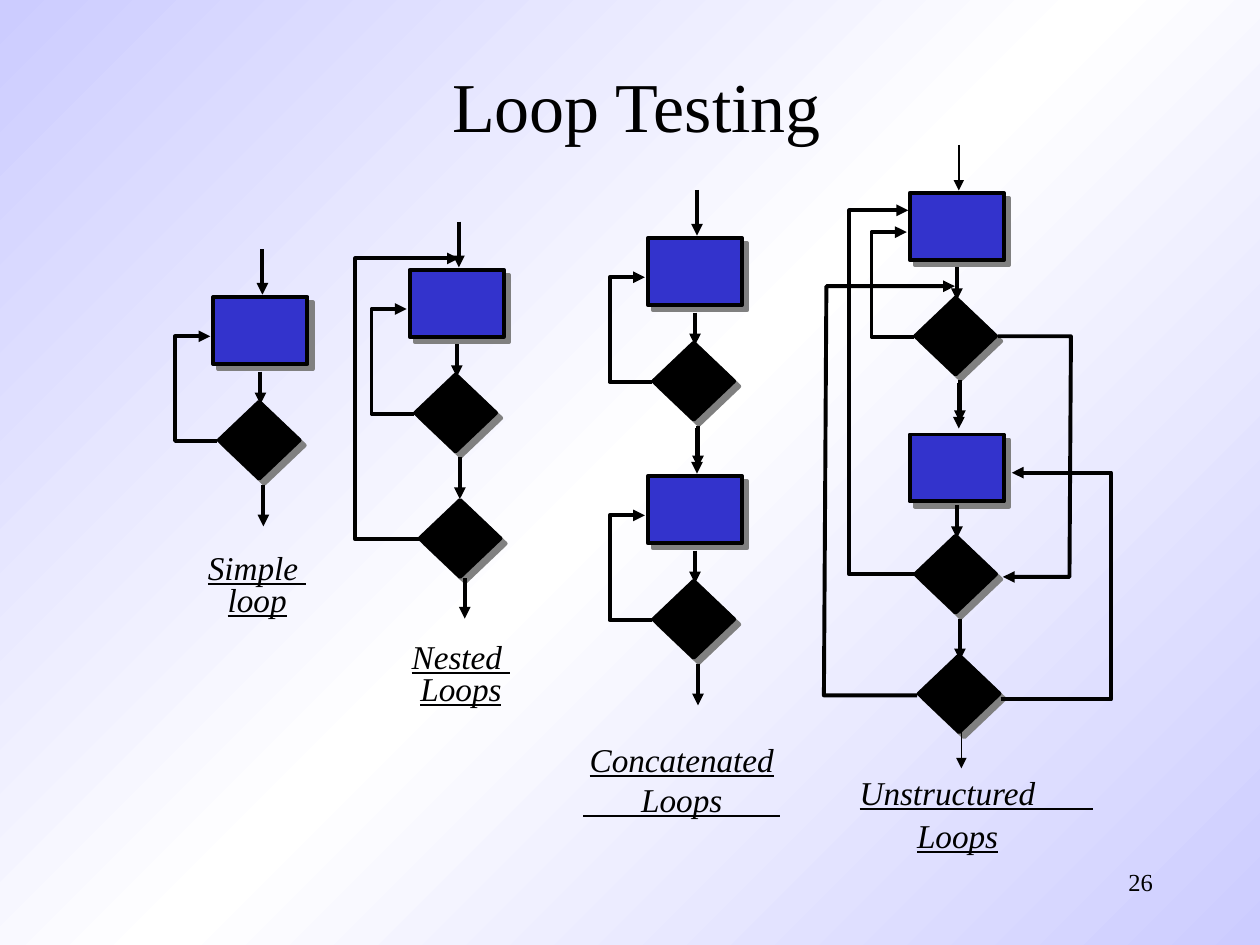
from copy import deepcopy
from dataclasses import dataclass

from lxml import etree
from pptx import Presentation
from pptx import util as u
from pptx.dml.color import RGBColor
from pptx.enum import shapes, text
from pptx.oxml import ns


@dataclass(frozen=True)
class Theme:
    font: str = "Times New Roman"
    ink: RGBColor = RGBColor(0, 0, 0)
    process: RGBColor = RGBColor(0x33, 0x33, 0xCC)
    tint: RGBColor = RGBColor(0xCC, 0xCC, 0xFF)
    paper: RGBColor = RGBColor(0xFF, 0xFF, 0xFF)
    shadow: str = "808080"
    title: int = 40
    caption: int = 19
    number: int = 14
    stroke: float = 2.25
    thin: float = 1


T = Theme()


def set_background(s):
    fill = s.background.fill
    fill.gradient()
    fill.gradient_angle = 315
    gs_list = next(s.element.iter(ns.qn("a:gsLst")))
    gs_list.insert(1, deepcopy(gs_list[0]))
    stops = zip(fill.gradient_stops, (0, 0.5, 1), (T.tint, T.paper, T.tint))
    for stop, position, color in stops:
        stop.position = position
        stop.color.rgb = color


def add_text(s, lines, x, y, w, h, size, align=text.PP_ALIGN.CENTER):
    sp = s.shapes.add_textbox(u.Cm(x), u.Cm(y), u.Cm(w), u.Cm(h))
    tf = sp.text_frame
    tf.word_wrap = True
    tf.text = "\n".join(lines)
    for p in tf.paragraphs:
        p.alignment = align
        p.font.name = T.font
        p.font.size = u.Pt(size)
        p.font.color.rgb = T.ink
    return tf


def add_caption(s, lines, x, y, w, h, spacing=1.0):
    tf = add_text(s, lines, x, y, w, h, T.caption)
    tf.word_wrap = False
    tf.auto_size = text.MSO_AUTO_SIZE.SHAPE_TO_FIT_TEXT
    for p in tf.paragraphs:
        p.line_spacing = spacing
        p.font.italic = True
        p.font.underline = True


def set_stroke(sp, width=T.stroke):
    sp.line.color.rgb = T.ink
    sp.line.width = u.Pt(width)


def add_arrowhead(sp):
    etree.SubElement(sp.line._get_or_add_ln(), ns.qn("a:tailEnd"), type="triangle")


def add_node(s, kind, x, y, w, h, color):
    sp = s.shapes.add_shape(kind, u.Cm(x), u.Cm(y), u.Cm(w), u.Cm(h))
    sp.fill.solid()
    sp.fill.fore_color.rgb = color
    set_stroke(sp)
    sp.shadow.inherit = False
    effects = sp.element.spPr.find(ns.qn("a:effectLst"))
    shadow = etree.SubElement(effects, ns.qn("a:outerShdw"), dist=str(u.Pt(4.2)),
                              dir="2700000", algn="ctr", rotWithShape="0")
    etree.SubElement(shadow, ns.qn("a:srgbClr"), val=T.shadow)


def add_process(s, x, y):
    add_node(s, shapes.MSO_SHAPE.RECTANGLE, x, y, 1.9, 1.35, T.process)


def add_decision(s, x, y):
    add_node(s, shapes.MSO_SHAPE.DIAMOND, x, y, 1.63, 1.55, T.ink)


def add_down_arrow(s, x, top, bottom, width=T.stroke):
    sp = s.shapes.add_connector(shapes.MSO_CONNECTOR.STRAIGHT,
                                u.Cm(x), u.Cm(top), u.Cm(x), u.Cm(bottom))
    set_stroke(sp, width)
    add_arrowhead(sp)
    etree.SubElement(sp.element.spPr, ns.qn("a:effectLst"))


def add_path(s, *points):
    start, *rest = [(u.Cm(x), u.Cm(y)) for x, y in points]
    builder = s.shapes.build_freeform(*start)
    builder.add_line_segments(rest, close=False)
    sp = builder.convert_to_shape()
    sp.fill.background()
    set_stroke(sp)
    add_arrowhead(sp)
    sp.shadow.inherit = False


def add_return(s, start_x, side_x, end_x, bottom, top):
    add_path(s, (start_x, bottom), (side_x, bottom), (side_x, top), (end_x, top))


def add_loop(s, x, y, entry_width=T.stroke, process_shift=0, own_return=True):
    add_process(s, x, y + process_shift)
    add_decision(s, x + 0.11, y + 2.11)
    add_down_arrow(s, x + 0.99, y - 0.97, y - 0.05, entry_width)
    add_down_arrow(s, x + 0.95, y + 1.5, y + 2.16)
    add_down_arrow(s, x + 1.01, y + 3.78, y + 4.62)
    if own_return:
        add_return(s, x + 0.08, x - 0.77, x - 0.06, y + 2.9, y + 0.79)


def draw_simple(s):
    add_loop(s, 4.3, 5.99)
    add_caption(s, ["Simple ", "loop"], 3.69, 11.06, 2.99, 1.52, 0.8)


def draw_nested(s):
    add_loop(s, 8.26, 5.44)
    add_decision(s, 8.46, 10.08)
    add_down_arrow(s, 9.37, 11.66, 12.47)
    add_return(s, 8.46, 7.16, 9.25, 10.87, 5.21)
    add_caption(s, ["Nested ", "Loops"], 7.8, 12.85, 2.99, 1.52, 0.8)


def draw_concatenated(s):
    for y in (4.8, 9.6):
        add_loop(s, 13.06, y)
    add_caption(s, ["Concatenated", "       Loops       "], 11.01, 14.78, 5.47, 1.85)


def draw_unstructured(s):
    add_loop(s, 18.34, 3.89, entry_width=T.thin)
    add_loop(s, 18.34, 8.69, process_shift=0.07, own_return=False)
    add_return(s, 18.57, 17.12, 18.31, 11.58, 4.24)
    add_path(s, (20.12, 6.78), (21.59, 6.78), (21.56, 11.63), (20.22, 11.63))
    add_decision(s, 18.52, 13.21)
    add_return(s, 20.17, 22.4, 20.4, 14.1, 9.53)
    add_path(s, (18.49, 14.02), (16.61, 14.02), (16.66, 5.77), (19.25, 5.77))
    add_down_arrow(s, 19.38, 14.66, 15.49, T.thin)
    add_caption(s, ["Unstructured       "], 16.57, 15.44, 6.23, 1.04)
    add_caption(s, ["Loops"], 17.74, 16.31, 3.13, 1.04)


def main():
    prs = Presentation()
    prs.slide_width, prs.slide_height = u.Cm(25.4), u.Cm(19.05)
    s = prs.slides.add_slide(prs.slide_layouts[6])
    set_background(s)
    add_text(s, ["26"], 18.21, 17.35, 5.28, 1.27, T.number, text.PP_ALIGN.RIGHT)
    tf = add_text(s, ["Loop Testing"], 4.78, 1.3, 16.1, 1.6, T.title)
    tf.vertical_anchor = text.MSO_ANCHOR.MIDDLE
    draw_simple(s)
    draw_nested(s)
    draw_concatenated(s)
    draw_unstructured(s)
    prs.save("out.pptx")


if __name__ == "__main__":
    main()
